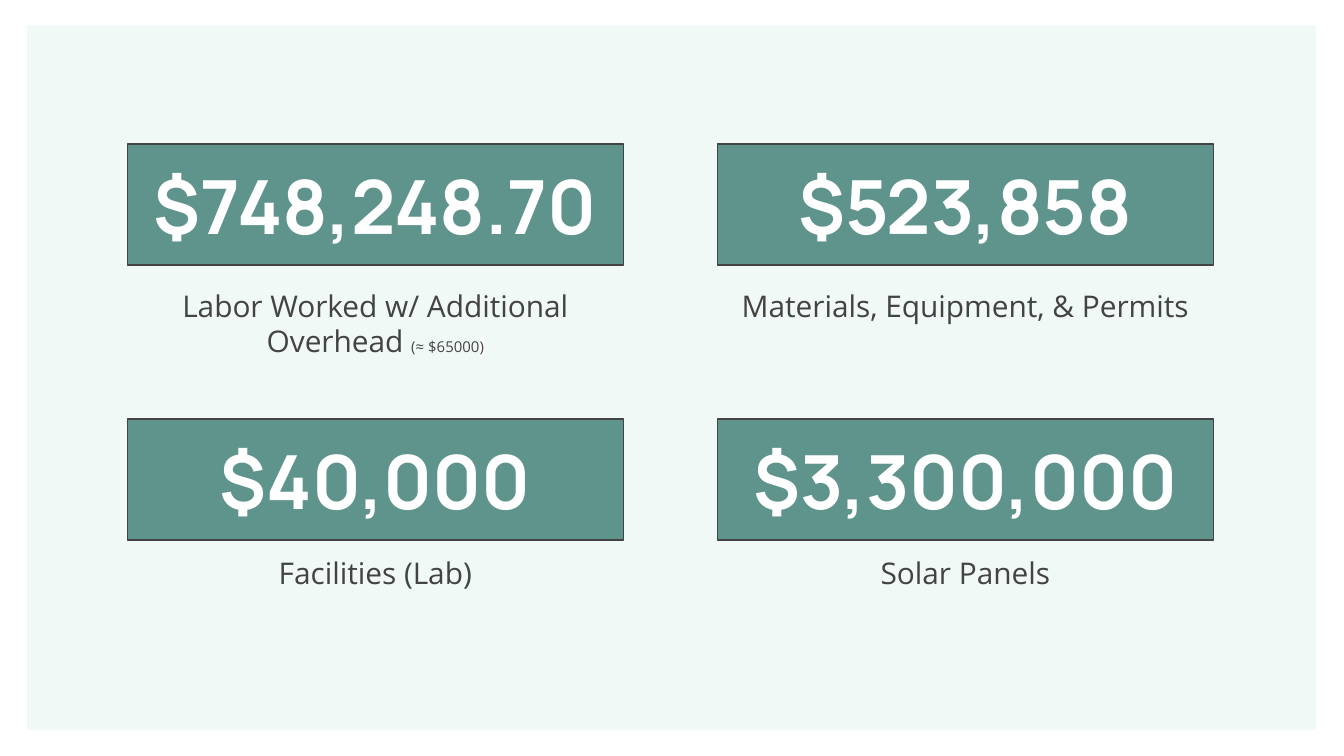
from lxml import etree
from pptx import Presentation
from pptx.dml.color import RGBColor
from pptx.enum.shapes import MSO_SHAPE
from pptx.enum.text import MSO_ANCHOR, MSO_AUTO_SIZE, PP_ALIGN
from pptx.oxml.ns import qn
from pptx.util import Cm, Pt

RECT, ROUND_RECT = MSO_SHAPE.RECTANGLE, MSO_SHAPE.ROUNDED_RECTANGLE
TOP, MIDDLE = MSO_ANCHOR.TOP, MSO_ANCHOR.MIDDLE
CENTER = PP_ALIGN.CENTER
NO_FIT = MSO_AUTO_SIZE.NONE
TITLE_ONLY = 5

COLORS = {
    "panel": "98D3C7",
    "card": "5F948D",
    "dark": "434343",
    "white": "FFFFFF",
}

# Card grid, in centimetres
LEFT, TOP_ROW = 2.41, 2.72
COL_STEP, ROW_STEP = 11.15, 5.2
CARD_W, CARD_H = 9.37, 2.29
INSET = 0.25

# Amount, caption runs as (text, format), and caption gap, height, side overhang
CARDS = [
    ("$748,248.70",
     [("Labor Worked w/ Additional Overhead ", {}),
      ("(≈ $65000", {"size": 8}),
      (")", {"size": 8, "highlight": "white"})], 0.17, 1.96, 0),
    ("$523,858",
     [("Materials, Equipment, & Permits", {})], 0.17, 1.17, 0.15),
    ("$40,000", [("Facilities (Lab)", {})], 0.03, 1.17, 0),
    ("$3,300,000", [("Solar Panels", {})], 0.03, 1.17, 0),
]


def rgb(name):
    return RGBColor.from_string(COLORS[name])


def add_run(p, text, font="Open Sans", size=16, color="dark", bold=False,
            highlight=None):
    r = p.add_run()
    r.text = text
    r.font.name = font
    r.font.size = Pt(size)
    r.font.bold = bold
    r.font.color.rgb = rgb(color)
    if highlight:
        mark = etree.Element(qn("a:highlight"))
        etree.SubElement(mark, qn("a:srgbClr"), val=COLORS[highlight])
        r.font._element.find(qn("a:solidFill")).addnext(mark)


def set_up_frame(tf, anchor):
    tf.word_wrap = True
    tf.auto_size = NO_FIT
    tf.vertical_anchor = anchor
    tf.margin_left = tf.margin_right = Cm(INSET)
    tf.margin_top = tf.margin_bottom = Cm(INSET)
    p = tf.paragraphs[0]
    p.alignment = CENTER
    return p


def add_panel(slide, x, y, w, h):
    sp = slide.shapes.add_shape(ROUND_RECT, Cm(x), Cm(y), Cm(w), Cm(h))
    sp.adjustments[0] = 0
    sp.shadow.inherit = False
    sp.line.fill.background()
    sp.fill.solid()
    sp.fill.fore_color.rgb = rgb("panel")
    color = sp._element.spPr.find(qn("a:solidFill")).find(qn("a:srgbClr"))
    etree.SubElement(color, qn("a:alpha"), val="13000")
    # Send the panel behind the title
    slide.shapes._spTree.insert(2, sp._element)


def add_amount(slide, text, x, y, w, h, sp=None):
    """Fill the given placeholder, or a new rectangle, with an amount."""
    if sp is None:
        sp = slide.shapes.add_shape(RECT, Cm(x), Cm(y), Cm(w), Cm(h))
        sp.shadow.inherit = False
    else:
        sp.left, sp.top, sp.width, sp.height = Cm(x), Cm(y), Cm(w), Cm(h)
    sp.fill.solid()
    sp.fill.fore_color.rgb = rgb("card")
    sp.line.color.rgb = rgb("dark")
    sp.line.width = Pt(0.75)
    p = set_up_frame(sp.text_frame, MIDDLE)
    add_run(p, text, font="Manrope", size=40, color="white", bold=True)


def add_caption(slide, runs, x, y, w, h):
    sp = slide.shapes.add_textbox(Cm(x), Cm(y), Cm(w), Cm(h))
    p = set_up_frame(sp.text_frame, TOP)
    p.space_after = Pt(12)
    for text, fmt in runs:
        add_run(p, text, **fmt)


def build_cost_slide(prs):
    slide = prs.slides.add_slide(prs.slide_layouts[TITLE_ONLY])
    add_panel(slide, 0.51, 0.48, 24.36, 13.31)

    # Two by two cards; the first amount is the slide title
    for i, (amount, runs, gap, height, overhang) in enumerate(CARDS):
        row, col = divmod(i, 2)
        x, y = LEFT + col * COL_STEP, TOP_ROW + row * ROW_STEP
        title = slide.shapes.title if i == 0 else None
        add_amount(slide, amount, x, y, CARD_W, CARD_H, sp=title)
        add_caption(slide, runs, x - overhang, y + CARD_H + gap,
                    CARD_W + 2 * overhang, height)


def main():
    prs = Presentation()
    prs.slide_width, prs.slide_height = Cm(25.4), Cm(14.29)
    build_cost_slide(prs)
    prs.save("out.pptx")


if __name__ == "__main__":
    main()
